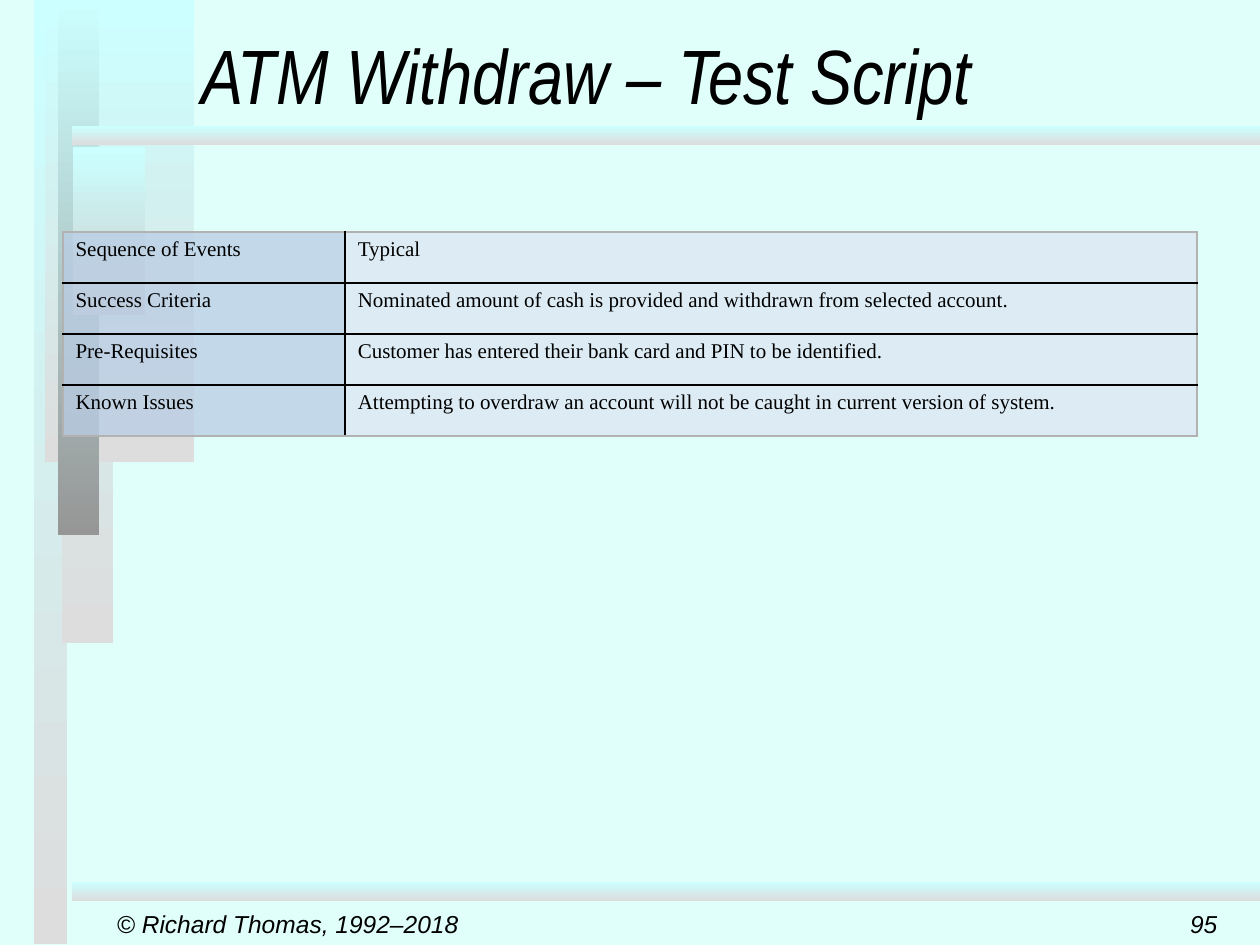
from lxml import etree
from pptx import Presentation
from pptx.dml.color import RGBColor
from pptx.enum import shapes, text
from pptx.oxml import ns
from pptx.util import Inches, Pt

MINT = RGBColor(0xE1, 0xFF, 0xFA)
CYAN = RGBColor(0xCC, 0xFF, 0xFF)
PALE_GREY = RGBColor(0xDD, 0xDD, 0xDD)
MID_GREY = RGBColor(0xCB, 0xCB, 0xCB)
DARK_GREY = RGBColor(0x96, 0x96, 0x96)
EDGE_GREY = RGBColor(0xB2, 0xB2, 0xB2)
LABEL_BLUE = RGBColor(0xB9, 0xCD, 0xE5)
DETAIL_BLUE = RGBColor(0xDC, 0xE6, 0xF2)
BLACK = RGBColor(0, 0, 0)

PANELS = [
    ((0.27, 0, 0.26, 7.49), PALE_GREY),
    ((0.49, 0, 0.41, 5.1), PALE_GREY),
    ((0.36, 0, 1.18, 3.67), PALE_GREY),
    ((0.46, 0, 0.33, 4.25), DARK_GREY),
    ((0.58, 1.17, 0.57, 1.33), MID_GREY),
]
SCRIPT_ROWS = [
    ("Sequence of Events", "Typical"),
    ("Success Criteria", "Nominated amount of cash is provided and withdrawn from selected account."),
    ("Pre-Requisites", "Customer has entered their bank card and PIN to be identified."),
    ("Known Issues", "Attempting to overdraw an account will not be caught in current version of system."),
]


def add_gradient(page, box, end_colour):
    """Add a borderless rectangle fading downwards from cyan."""
    panel = page.shapes.add_shape(shapes.MSO_SHAPE.RECTANGLE, *map(Inches, box))
    panel.shadow.inherit = False
    panel.line.fill.background()
    panel.fill.gradient()
    panel.fill.gradient_angle = 270
    for stop, colour, position in zip(panel.fill.gradient_stops, (CYAN, end_colour), (0, 1)):
        stop.color.rgb = colour
        stop.position = position


def add_backdrop(page):
    """Add the stacked panels and the two horizontal bars."""
    for box, end_colour in PANELS:
        add_gradient(page, box, end_colour)
    for top in (1, 7):
        add_gradient(page, (0.57, top, 9.43, 0.15), PALE_GREY)


def write_span(para, words, font_name, size, italic=False):
    """Add one formatted run to a paragraph."""
    span = para.add_run()
    span.text = words
    span.font.name = font_name
    span.font.size = Pt(size)
    span.font.italic = italic
    span.font.color.rgb = BLACK


def add_line(page, box, words, font_name, size, anchor, align=text.PP_ALIGN.LEFT):
    """Add a text box holding one line of italic text."""
    frame = page.shapes.add_textbox(*map(Inches, box)).text_frame
    frame.word_wrap = True
    frame.vertical_anchor = anchor
    para = frame.paragraphs[0]
    para.alignment = align
    write_span(para, words, font_name, size, italic=True)


def style_cell(cell, colour, borders):
    """Give a cell a translucent fill and its four borders."""
    cell.fill.solid()
    cell.fill.fore_color.rgb = colour
    properties = cell._tc.get_or_add_tcPr()
    tint = properties.find(".//" + ns.qn("a:srgbClr"))
    etree.SubElement(tint, ns.qn("a:alpha"), val="75000")
    for index, (side, line_colour) in enumerate(borders.items()):
        line = etree.Element(ns.qn("a:ln" + side), w=str(Pt(1)))
        solid = etree.SubElement(line, ns.qn("a:solidFill"))
        etree.SubElement(solid, ns.qn("a:srgbClr"), val=str(line_colour))
        properties.insert(index, line)


def add_script_table(page, box):
    """Add the test script table with black inner and grey outer lines."""
    last_row = len(SCRIPT_ROWS) - 1
    table = page.shapes.add_table(len(SCRIPT_ROWS), 2, *map(Inches, box)).table
    table.first_row = table.horz_banding = False
    label_width = Inches(2.24)
    table.columns[0].width = label_width
    table.columns[1].width = Inches(box[2]) - label_width
    for row, entries in enumerate(SCRIPT_ROWS):
        for column, words in enumerate(entries):
            cell = table.cell(row, column)
            write_span(cell.text_frame.paragraphs[0], words, "Times New Roman", 12)
            borders = {
                "L": BLACK if column else EDGE_GREY,
                "R": EDGE_GREY if column else BLACK,
                "T": BLACK if row else EDGE_GREY,
                "B": BLACK if row < last_row else EDGE_GREY,
            }
            style_cell(cell, DETAIL_BLUE if column else LABEL_BLUE, borders)


def add_footer(page, top, height):
    """Add the page number and the copyright line."""
    middle = text.MSO_ANCHOR.MIDDLE
    add_line(page, (9.17, top, 0.59, height), "95", "Arial", 14, middle, text.PP_ALIGN.RIGHT)
    add_line(page, (0.83, top, 3, height), "© Richard Thomas, 1992–2018", "Arial", 14, middle)


def main():
    """Build and save the slide."""
    deck = Presentation()
    deck.slide_width, deck.slide_height = Inches(10), Inches(7.5)
    page = deck.slides.add_slide(deck.slide_layouts[6])
    page.background.fill.solid()
    page.background.fill.fore_color.rgb = MINT
    add_backdrop(page)
    add_line(page, (1.5, 0, 8.5, 1), "ATM Withdraw – Test Script", "Arial Narrow", 44,
             text.MSO_ANCHOR.BOTTOM)
    add_script_table(page, (0.5, 1.84, 9, 1.62))
    add_footer(page, 7.17, 0.33)
    deck.save("out.pptx")


if __name__ == "__main__":
    main()
